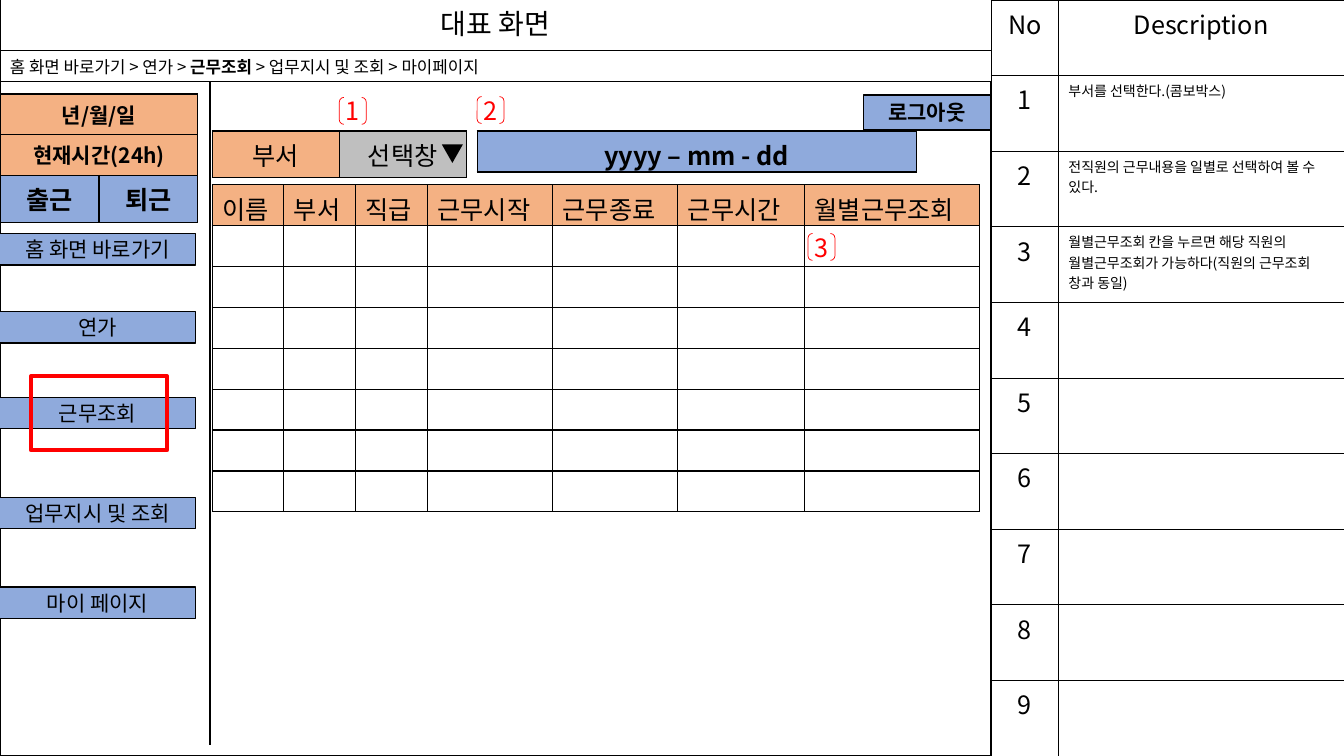
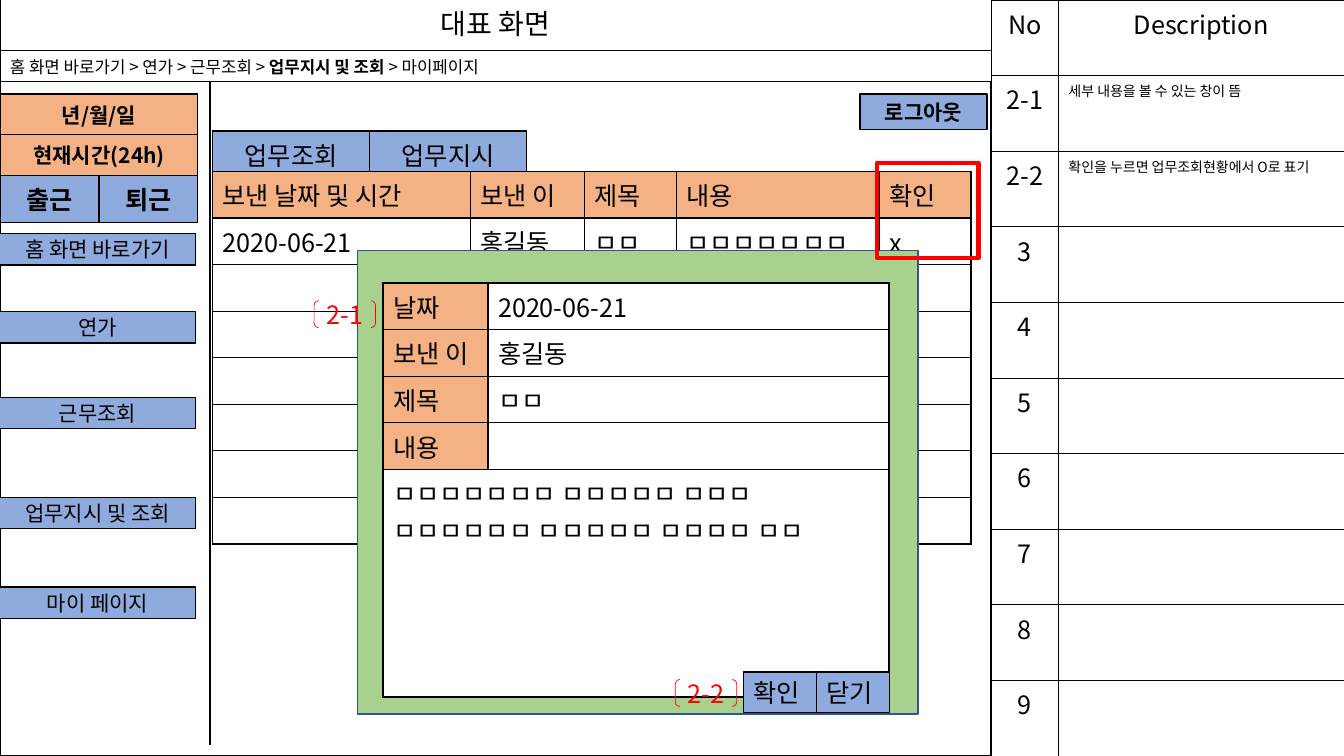
from dataclasses import dataclass

from lxml.etree import SubElement
from pptx import Presentation
from pptx.dml.color import RGBColor
from pptx.enum.shapes import MSO_CONNECTOR as Connector, MSO_SHAPE as Shape
from pptx.enum.text import MSO_ANCHOR as Anchor, PP_ALIGN as Align
from pptx.oxml import parse_xml
from pptx.oxml.ns import nsdecls, qn
from pptx.util import Emu, Pt


@dataclass(frozen=True)
class Theme:
    """Colours, font and type sizes shared by every page."""
    font: str = "Noto Sans CJK KR"
    ink: str = "000000"
    paper: str = "FFFFFF"
    alert: str = "FF0000"
    orange: str = "F4B183"
    blue: str = "8FAADC"
    grey: str = "BFBFBF"
    green: str = "A9D18E"
    navy: str = "325491"
    title: float = 20
    body: float = 18
    menu: float = 15
    crumb: float = 12
    note: float = 10


THEME = Theme()
# The grid has 160 columns and 90 rows of square cells.
COLUMNS, ROWS, CELL = 160, 90, 76200
SCREEN_WIDTH = 118
SCREEN_TOP = 9.7
CONTENT_LEFT, CONTENT_TOP = 25.3, 15.6
TALL_ROW, SHORT_ROW = 5.55, 4.87
MENU_TOPS = {"홈 화면 바로가기": 27.8, "연가": 37.1, "근무조회": 47.3,
             "업무지시 및 조회": 59.2, "마이 페이지": 69.9}
CRUMBS = ["홈 화면 바로가기", "연가", "근무조회", "업무지시 및 조회", "마이페이지"]


def grid(*counts):
    """Turn counts of grid cells into lengths."""
    return [Emu(round(count * CELL)) for count in counts]


def add_span(para, text, size=THEME.body, color=THEME.ink, bold=False):
    """Append formatted text to a paragraph."""
    span = para.add_run()
    span.text = text
    span.font.size = Pt(size)
    span.font.bold = bold
    span.font.color.rgb = RGBColor.from_string(color)
    span.font.name = THEME.font
    SubElement(span.font._element, qn("a:ea"), typeface=THEME.font)


def add_box(page, at, text="", kind=Shape.RECTANGLE, fill=None, line=THEME.ink,
            weight=1, align=Align.CENTER, inset=1.2, spacing=None, **style):
    """Add a preset shape with optional fill, line and text."""
    box = page.shapes.add_shape(kind, *grid(*at))
    box.shadow.inherit = False
    if fill:
        box.fill.solid()
        box.fill.fore_color.rgb = RGBColor.from_string(fill)
    else:
        box.fill.background()
    if line:
        box.line.color.rgb = RGBColor.from_string(line)
        box.line.width = Pt(weight)
    else:
        box.line.fill.background()
    if text:
        frame = box.text_frame
        frame.word_wrap = True
        frame.vertical_anchor = Anchor.MIDDLE
        frame.margin_top = frame.margin_bottom = 0
        frame.margin_left = frame.margin_right = grid(inset)[0]
        para = frame.paragraphs[0]
        para.alignment = align
        para.line_spacing = spacing
        add_span(para, text, **style)
    return box


def add_mark(page, left, top, text, width=3.2):
    """Add a red bracketed reference number."""
    add_box(page, (left, top, width, 3.2), text, kind=Shape.DOUBLE_BRACKET,
            line=THEME.alert, weight=0.5, inset=0, color=THEME.alert)


def add_focus(page, *at):
    """Frame the area under discussion in red."""
    add_box(page, at, line=THEME.alert, weight=3)


def set_borders(cell, weight):
    """Draw all four borders of a table cell."""
    props = cell._tc.get_or_add_tcPr()
    for index, side in enumerate("LRTB"):
        props.insert(index, parse_xml(
            f'<a:ln{side} {nsdecls("a")} w="{Pt(weight)}"><a:solidFill>'
            f'<a:srgbClr val="{THEME.ink}"/></a:solidFill></a:ln{side}>'))


def add_table(page, left, top, widths, heights, texts, look, weight=1):
    """Add a table; look(row, column) gives a cell's format, None joins left."""
    size = sum(widths), sum(heights)
    table = page.shapes.add_table(len(heights), len(widths),
                                  *grid(left, top, *size)).table
    table.first_row = table.horz_banding = False
    for column, width in zip(table.columns, grid(*widths)):
        column.width = width
    for row, height in zip(table.rows, grid(*heights)):
        row.height = height
    for r in range(len(heights)):
        for c in range(len(widths)):
            cell = table.cell(r, c)
            style = dict(look(r, c))
            fill = style.pop("fill", None)
            align = style.pop("align", Align.LEFT)
            if fill:
                cell.fill.solid()
                cell.fill.fore_color.rgb = RGBColor.from_string(fill)
            else:
                cell.fill.background()
            set_borders(cell, weight)
            cell.margin_bottom = 0
            text = texts[r][c] if r < len(texts) else ""
            if text is None:
                table.cell(r, c - 1).merge(cell)
            elif text:
                para = cell.text_frame.paragraphs[0]
                para.alignment = align
                add_span(para, text, **style)


def add_button_row(page, left, texts, width, fills, height=TALL_ROW, **style):
    """Add a one-row table of centred, coloured cells."""
    add_table(page, left, CONTENT_TOP, [width] * len(texts), [height], [texts],
              lambda r, c: dict(fill=fills[c], align=Align.CENTER, **style))


def add_list(page, top, widths, height, texts):
    """Add an eight-row list with an orange heading row."""
    add_table(page, CONTENT_LEFT, top, widths, [height] * 8, texts,
              lambda r, c: dict(fill=None if r else THEME.orange))


def add_descriptions(page, notes):
    """Add the numbered description panel on the right."""
    numbered = notes + [(str(n), "") for n in range(len(notes) + 1, 10)]

    def look(r, c):
        if r and c:
            return dict(size=THEME.note)
        return dict(align=Align.CENTER)

    add_table(page, SCREEN_WIDTH, 0, [8, 34], [9] * 10,
              [("No", "Description")] + numbered, look, weight=0.5)


def add_clock(page):
    """Add the date, time and attendance block."""
    def look(r, c):
        last = r == 2
        return dict(fill=THEME.blue if last else THEME.orange, bold=True,
                    size=THEME.body if last else THEME.menu, align=Align.CENTER)

    add_table(page, 0.1, 11.2, [11.7] * 2, [4.8, 4.9, TALL_ROW],
              [("년/월/일", None), ("현재시간(24h)", None), ("출근", "퇴근")], look)


def add_crumbs(page, current):
    """Add the breadcrumb line with the current page in bold."""
    box = page.shapes.add_textbox(*grid(0, 6.2, 73.7, 3.6))
    frame = box.text_frame
    frame.word_wrap = True
    para = frame.paragraphs[0]
    for index, name in enumerate(CRUMBS):
        if index:
            add_span(para, " > ", size=THEME.crumb)
        add_span(para, name, size=THEME.crumb, bold=name == current)


def add_divider(page):
    """Add the vertical line between menu and content."""
    ends = grid(25, SCREEN_TOP, 25, 88.7)
    line = page.shapes.add_connector(Connector.STRAIGHT, *ends)
    line.line.color.rgb = RGBColor.from_string(THEME.ink)
    line.line.width = Pt(1.5)
    SubElement(line._element.spPr, qn("a:effectLst"))


def add_screen(deck, current, notes, logout):
    """Start a page with everything the screens share."""
    page = deck.slides.add_slide(deck.slide_layouts[6])
    add_box(page, (0, SCREEN_TOP, SCREEN_WIDTH, ROWS - SCREEN_TOP), fill=THEME.paper)
    add_box(page, (0, 0, SCREEN_WIDTH, 6), "대표 화면", weight=0.75,
            size=THEME.title, spacing=0.9)
    add_descriptions(page, notes)
    add_box(page, (0, 6, SCREEN_WIDTH, SCREEN_TOP - 6), weight=0.75)
    add_clock(page)
    for name, top in MENU_TOPS.items():
        add_box(page, (-0.1, top, 23.4, 3.75), name, fill=THEME.blue, size=THEME.menu)
    add_crumbs(page, current)
    add_divider(page)
    add_box(page, (*logout, 15.1, 4.2), "로그아웃", fill=THEME.blue,
            size=THEME.menu, bold=True)
    return page


def add_attendance_page(deck):
    """Build the attendance screen."""
    notes = [("1", "부서를 선택한다.(콤보박스)"),
             ("2", "전직원의 근무내용을 일별로 선택하여 볼 수 있다."),
             ("3", "월별근무조회 칸을 누르면 해당 직원의 월별근무조회가 "
                   "가능하다(직원의 근무조회 창과 동일)")]
    page = add_screen(deck, "근무조회", notes, (102.8, 11.3))
    add_button_row(page, CONTENT_LEFT, ["부서", "선택창"], 15.1,
                   [THEME.orange, THEME.grey])
    arrow = add_box(page, (52.6, 17.2, 2.5, 2.2), kind=Shape.ISOSCELES_TRIANGLE,
                    fill=THEME.ink, line=None)
    arrow.rotation = 180
    add_list(page, 22, [8.5, 8.5, 8.6, 14.9, 14.9, 15.1, 20.8], SHORT_ROW,
             [("이름", "부서", "직급", "근무시작", "근무종료", "근무시간", "월별근무조회")])
    add_button_row(page, 56.8, ["yyyy – mm - dd"], 52.3, [THEME.blue],
                   height=SHORT_ROW, bold=True)
    for number, (left, top) in enumerate([(40.4, 11.6), (56.8, 11.5), (96.2, 27.8)], 1):
        add_mark(page, left, top, str(number))
    add_focus(page, 3.7, 44.8, 16.2, 8.8)


def add_popup(page):
    """Add the message window with its form and buttons."""
    add_box(page, (42.6, 29.8, 66.7, 55.2), fill=THEME.green, line=THEME.navy)
    message = "ㅁㅁㅁㅁㅁㅁㅁ ㅁㅁㅁㅁㅁ ㅁㅁㅁ ㅁㅁㅁㅁㅁㅁ ㅁㅁㅁㅁㅁ ㅁㅁㅁㅁ ㅁㅁ"
    form = [("날짜", "2020-06-21"), ("보낸 이", "홍길동"), ("제목", "ㅁㅁ"),
            ("내용", ""), (message, None)]
    add_table(page, 45.6, 33.7, [12.5, 47.75], [TALL_ROW] * 4 + [27.1], form,
              lambda r, c: dict(fill=THEME.orange if r < 4 and c == 0 else THEME.paper))
    width = 8.65
    for index, name in enumerate(["확인", "닫기"]):
        add_box(page, (88.55 + index * width, 80, width, 4.85), name,
                fill=THEME.blue, weight=0.75, align=Align.LEFT)


def add_task_page(deck):
    """Build the task screen with an open message."""
    notes = [("2-1", "세부 내용을 볼 수 있는 창이 뜸"),
             ("2-2", "확인을 누르면 업무조회현황에서 O로 표기")]
    page = add_screen(deck, "업무지시 및 조회", notes, (102.4, 11.2))
    add_button_row(page, CONTENT_LEFT, ["업무조회", "업무지시"], 18.7, [THEME.blue] * 2)
    add_list(page, 20.4, [30.7, 13.55, 10.95, 24.2, 10.9], TALL_ROW,
             [("보낸 날짜 및 시간", "보낸 이", "제목", "내용", "확인"),
              ("2020-06-21", "홍길동", "ㅁㅁ", "ㅁㅁㅁㅁㅁㅁㅁ", "x")])
    add_popup(page)
    add_mark(page, 37.4, 35.8, "2-1", width=7.3)
    add_mark(page, 80.4, 80.9, "2-2", width=7.3)
    add_focus(page, 104.4, 19.4, 12.1, 11.3)


def main():
    """Build and save the deck."""
    deck = Presentation()
    deck.slide_width, deck.slide_height = grid(COLUMNS, ROWS)
    add_attendance_page(deck)
    add_task_page(deck)
    deck.save("out.pptx")


main()
